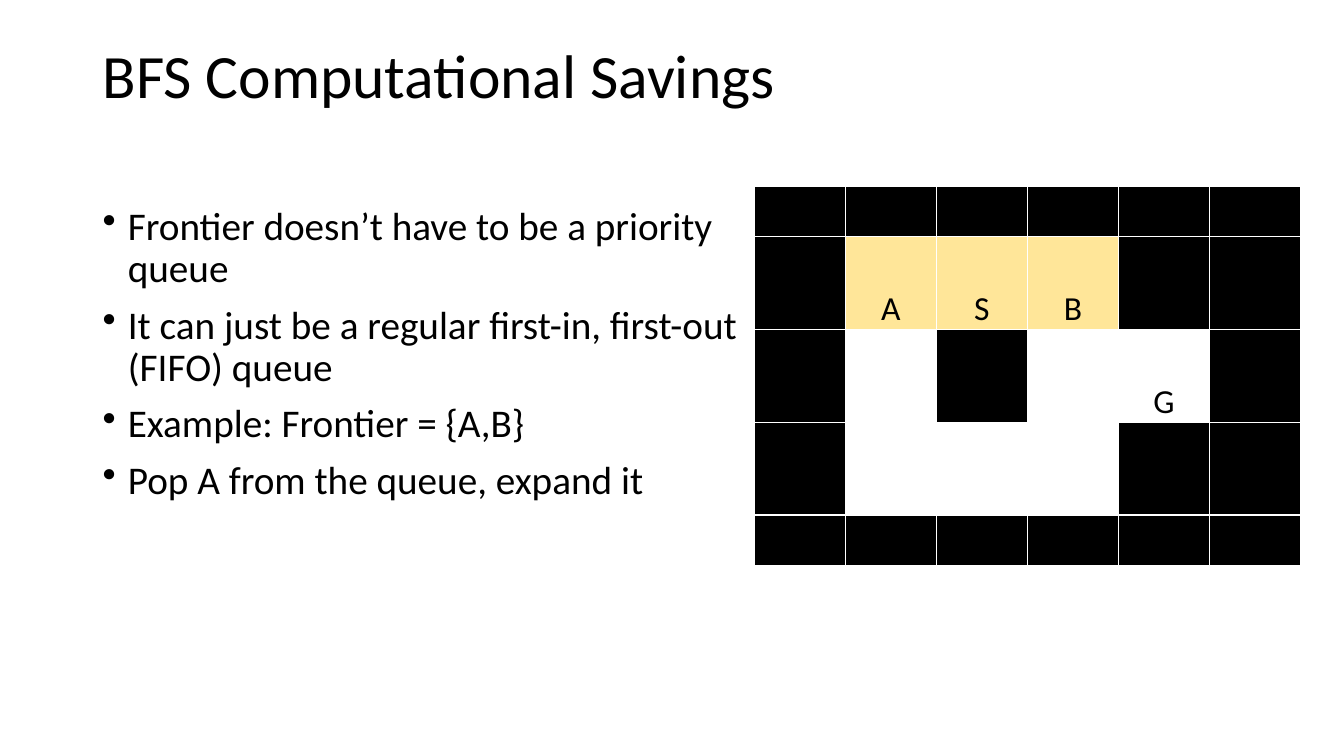
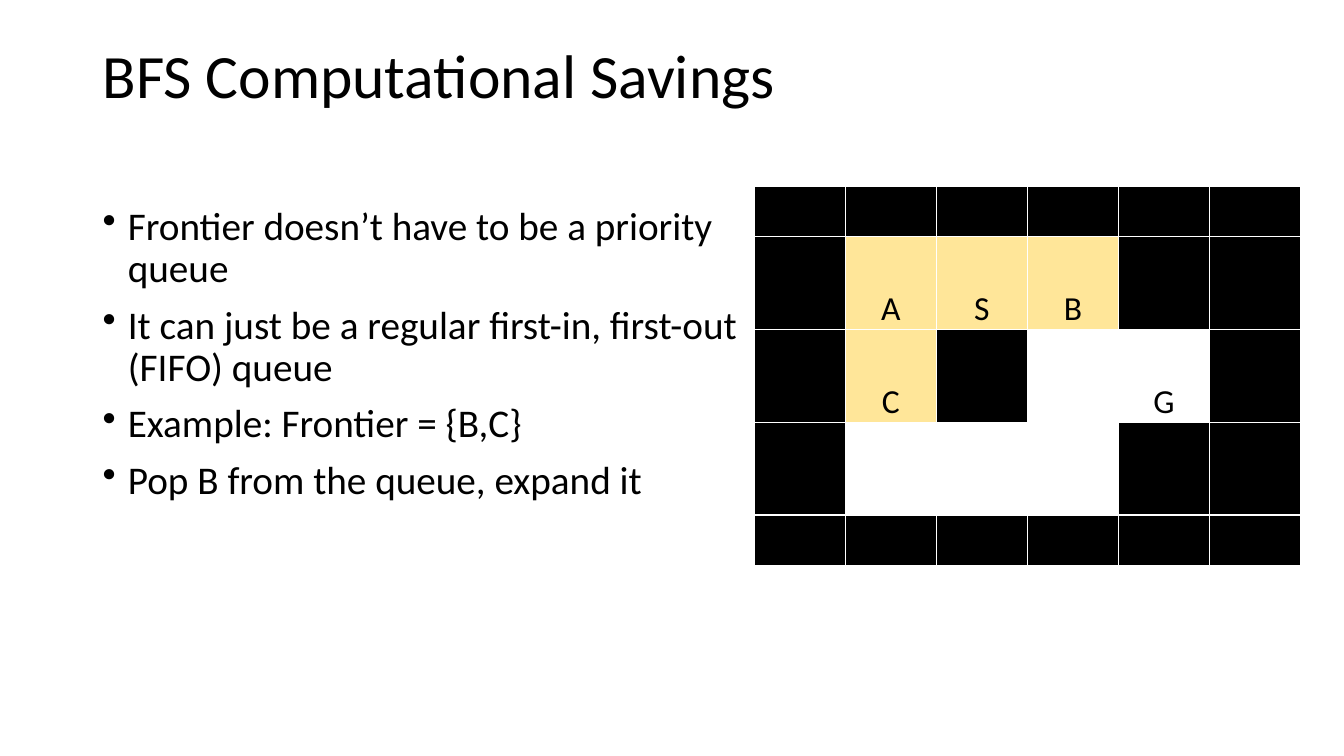
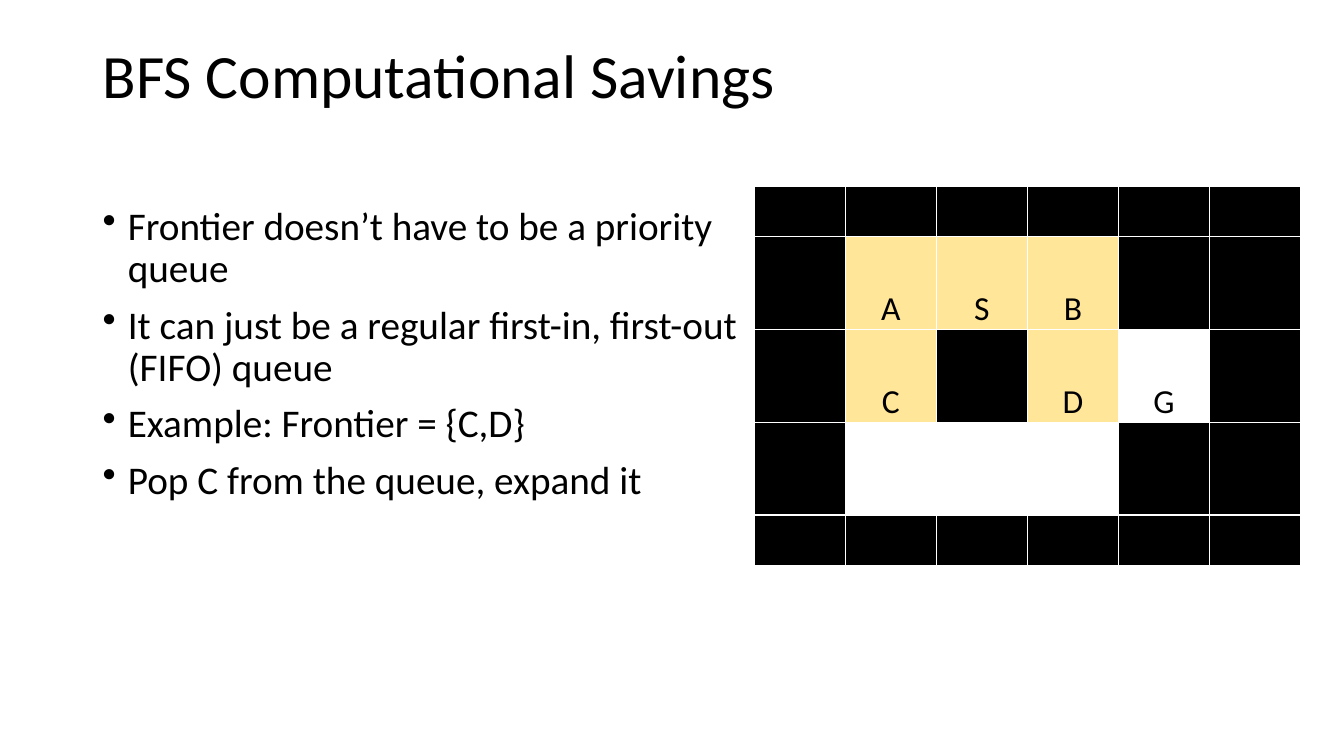
import pptx
import pptx.dml.color
import pptx.enum.text
import pptx.oxml
import pptx.oxml.ns
import pptx.util

PX = 9144
COLORS = {"ink": "000000", "wall": "000000", "open": "FFFFFF", "visited": "FFE699", "grid": "FFFFFF"}
FONT = "Calibri"
ALIGN = pptx.enum.text.PP_ALIGN
ANCHOR = pptx.enum.text.MSO_ANCHOR
ROW_HEIGHTS = [50, 92, 92, 92, 50]


def write(frame, text, size=24, color="ink", align=ALIGN.LEFT, line=None, before=0, bullet=None, indent=0):
    for i, words in enumerate(text.split("\n")):
        paragraph = frame.add_paragraph() if i else frame.paragraphs[0]
        paragraph.alignment = align
        paragraph.line_spacing = line
        paragraph.space_before = pptx.util.Pt(before)
        if bullet:
            properties = paragraph._p.get_or_add_pPr()
            properties.set("marL", str(indent * PX))
            properties.set("indent", str(-indent * PX))
            mark = pptx.oxml.parse_xml(f'<a:buChar {pptx.oxml.ns.nsdecls("a")} char="{bullet}"/>')
            properties.append(mark)
        run = paragraph.add_run()
        run.text = words
        run.font.name = FONT
        run.font.size = pptx.util.Pt(size)
        run.font.color.rgb = pptx.dml.color.RGBColor.from_string(COLORS[color])


class Deck:
    def __init__(self, width, height):
        self.show = pptx.Presentation()
        self.show.slide_width = width * PX
        self.show.slide_height = height * PX
        self.slide = None

    def new_slide(self):
        self.slide = self.show.slides.add_slide(self.show.slide_layouts[6])

    def text(self, box, words, **style):
        frame = self.slide.shapes.add_textbox(*(n * PX for n in box)).text_frame
        frame.word_wrap = True
        frame.vertical_anchor = ANCHOR.TOP
        write(frame, words, **style)

    def title(self, words):
        self.text((92, 40, 1150, 145), words, size=44, line=0.9)

    def bullets(self, words):
        self.text((92, 200, 667, 476), words, size=28, line=0.9, before=10, bullet="•", indent=25)

    def maze(self, rows):
        left, top, width, height = 748, 185, 542, sum(ROW_HEIGHTS)
        grid = self.slide.shapes.add_table(
            len(rows), len(rows[0]), left * PX, top * PX, width * PX, height * PX
        ).table
        grid.first_row = grid.horz_banding = False
        for column in grid.columns:
            column.width = width * PX // len(rows[0])
        for row, tall, marks in zip(grid.rows, ROW_HEIGHTS, rows):
            row.height = tall * PX
            for cell, mark in zip(row.cells, marks):
                self.square(cell, mark)

    def square(self, cell, mark):
        self.border(cell)
        kind = {"#": "wall", ".": "open", "G": "open"}.get(mark, "visited")
        cell.fill.solid()
        cell.fill.fore_color.rgb = pptx.dml.color.RGBColor.from_string(COLORS[kind])
        cell.vertical_anchor = ANCHOR.BOTTOM
        cell.margin_left = cell.margin_top = cell.margin_right = PX
        cell.margin_bottom = 0
        if mark.isalpha():
            write(cell.text_frame, mark, align=ALIGN.CENTER)

    def border(self, cell):
        properties = cell._tc.get_or_add_tcPr()
        for side in "LRTB":
            properties.append(pptx.oxml.parse_xml(
                f'<a:ln{side} {pptx.oxml.ns.nsdecls("a")} w="{pptx.util.Pt(1)}">'
                f'<a:solidFill><a:srgbClr val="{COLORS["grid"]}"/></a:solidFill></a:ln{side}>'
            ))


def main():
    deck = Deck(1333, 750)
    steps = [("A", "B", "#.#.G#"), ("B", "C", "#C#.G#"), ("C", "D", "#C#DG#")]
    for first, second, middle in steps:
        deck.new_slide()
        deck.title("BFS Computational Savings")
        deck.bullets(
            "Frontier doesn’t have to be a priority queue\n"
            "It can just be a regular first-in, first-out (FIFO) queue\n"
            f"Example: Frontier = {{{first},{second}}}\n"
            f"Pop {first} from the queue, expand it"
        )
        deck.maze(["######", "#ASB##", middle, "#...##", "######"])
    deck.show.save("out.pptx")


if __name__ == "__main__":
    main()
